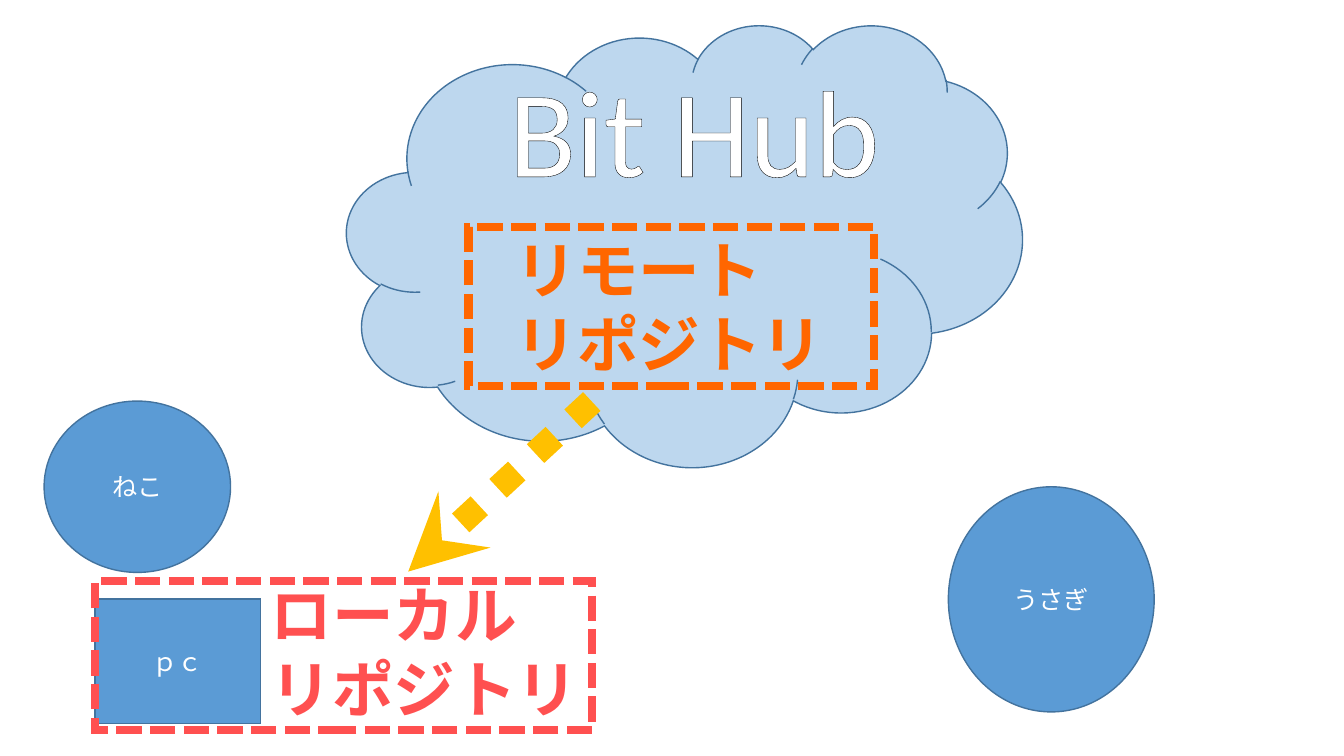
from lxml import etree
from pptx import Presentation
from pptx import util as u
from pptx.dml.color import RGBColor
from pptx.enum import dml, shapes, text
from pptx.oxml.ns import qn

BLUE = RGBColor(0x5B, 0x9B, 0xD5)
EDGE = RGBColor(0x43, 0x73, 0x9E)
SKY = RGBColor(0xBD, 0xD7, 0xEE)
WHITE = RGBColor(0xFF, 0xFF, 0xFF)
BLACK = RGBColor(0, 0, 0)
ORANGE = RGBColor(0xFF, 0x66, 0x00)
RED = RGBColor(0xFF, 0x50, 0x50)
GOLD = RGBColor(0xFF, 0xC0, 0x00)
LATIN, JAPANESE = "Calibri", "Noto Sans CJK JP"

COLS, ROWS = 160, 90
prs = Presentation()
prs.slide_width, prs.slide_height = u.Inches(13.33), u.Inches(7.5)


def cells(x, y, *size):
    """Turn grid columns and rows into slide lengths."""
    steps = (prs.slide_width / COLS, prs.slide_height / ROWS) * 2
    return [round(n * step) for n, step in zip((x, y, *size), steps)]


def write(tf, lines, size, color, font=LATIN, bold=False, align=None):
    """Fill a text frame with equally styled paragraphs."""
    for i, line in enumerate(lines):
        p = tf.paragraphs[0] if i == 0 else tf.add_paragraph()
        p.add_run().text = line
        p.alignment = align
        p.font.size, p.font.name, p.font.bold = u.Pt(size), font, bold
        p.font.color.rgb = color
        ea = etree.Element(qn("a:ea"), typeface=JAPANESE)
        p.font._element.find(qn("a:latin")).addnext(ea)


def add_shape(s, kind, box, fill, line, width=1, dash=None, label=None):
    """Draw a preset shape with an optional centred label."""
    sp = s.shapes.add_shape(kind, *cells(*box))
    sp.shadow.inherit = False
    if fill is None:
        sp.fill.background()
    else:
        sp.fill.solid()
        sp.fill.fore_color.rgb = fill
    sp.line.color.rgb, sp.line.width = line, u.Pt(width)
    if dash:
        sp.line.dash_style = dash
    etree.SubElement(sp.line._get_or_add_ln(), qn("a:miter"), lim="800000")
    if label:
        sp.text_frame.vertical_anchor = text.MSO_ANCHOR.MIDDLE
        write(sp.text_frame, [label], 18, WHITE, align=text.PP_ALIGN.CENTER)


def add_text(s, box, lines, size, color, **style):
    """Place an unwrapped text box."""
    tf = s.shapes.add_textbox(*cells(*box)).text_frame
    tf.word_wrap = False
    tf.auto_size = text.MSO_AUTO_SIZE.SHAPE_TO_FIT_TEXT
    write(tf, lines, size, color, **style)
    return tf


def add_repository(s, frame, label_box, lines, color):
    """Draw a dashed frame and the bold name of its repository."""
    add_shape(s, shapes.MSO_SHAPE.RECTANGLE, frame, None, color, 6,
              dml.MSO_LINE.SQUARE_DOT)
    add_text(s, label_box, lines, 44, color, font=JAPANESE, bold=True)


def add_cloud(s, x, y, w, h):
    """Draw the hosting cloud with its title and remote repository."""
    add_shape(s, shapes.MSO_SHAPE.CLOUD, (x, y, w, h), SKY, EDGE)
    inner_w, inner_h = 0.6 * w, 0.36 * h
    tf = add_text(s, (x + 18.1, y + 2.9, inner_w, inner_h), ["Bit Hub"],
                  88, WHITE)
    outline = etree.Element(qn("a:ln"), w=str(u.Pt(0.75)))
    fill = etree.SubElement(outline, qn("a:solidFill"))
    etree.SubElement(fill, qn("a:srgbClr"), val=str(BLACK))
    tf.paragraphs[0].runs[0].font._element.insert(0, outline)
    add_repository(s, (x + 14.5, y + 24.1, inner_w, inner_h),
                   (x + 18.9, y + 24.1, 39.6, inner_h),
                   ["リモート", "リポジトリ"], ORANGE)


def add_local(s, x, y, w, h):
    """Draw the computer and the local repository around it."""
    add_shape(s, shapes.MSO_SHAPE.RECTANGLE, (x, y + 2.1, w / 3, 14.8),
              BLUE, EDGE, label="ｐｃ")
    add_repository(s, (x, y, w, h), (x + w / 3, y - 1.1, 39.6, 19),
                   ["ローカル", "リポジトリ"], RED)


def add_user(s, box, name):
    """Draw a user as a named ellipse."""
    add_shape(s, shapes.MSO_SHAPE.OVAL, box, BLUE, EDGE, label=name)


def add_clone_arrow(s, start, end):
    """Draw the dotted arrow from the remote to the local repository."""
    c = s.shapes.add_connector(shapes.MSO_CONNECTOR.STRAIGHT,
                               *cells(*start), *cells(*end))
    c.line.color.rgb, c.line.width = GOLD, u.Pt(18.25)
    c.line.dash_style = dml.MSO_LINE.ROUND_DOT
    etree.SubElement(c.line._get_or_add_ln(), qn("a:tailEnd"), type="stealth")
    etree.SubElement(c._element.spPr, qn("a:effectLst"))


s = prs.slides.add_slide(prs.slide_layouts[6])
add_user(s, (5.25, 47.75, 22.2, 20.4), "ねこ")
add_cloud(s, 41.3, 2.9, 80.4, 52.6)
add_local(s, 11.3, 69.2, 59.2, 17.7)
add_user(s, (112.9, 57.95, 24.5, 26.8), "うさぎ")
add_clone_arrow(s, (70.45, 47.8), (48.6, 68.05))
prs.save("out.pptx")
